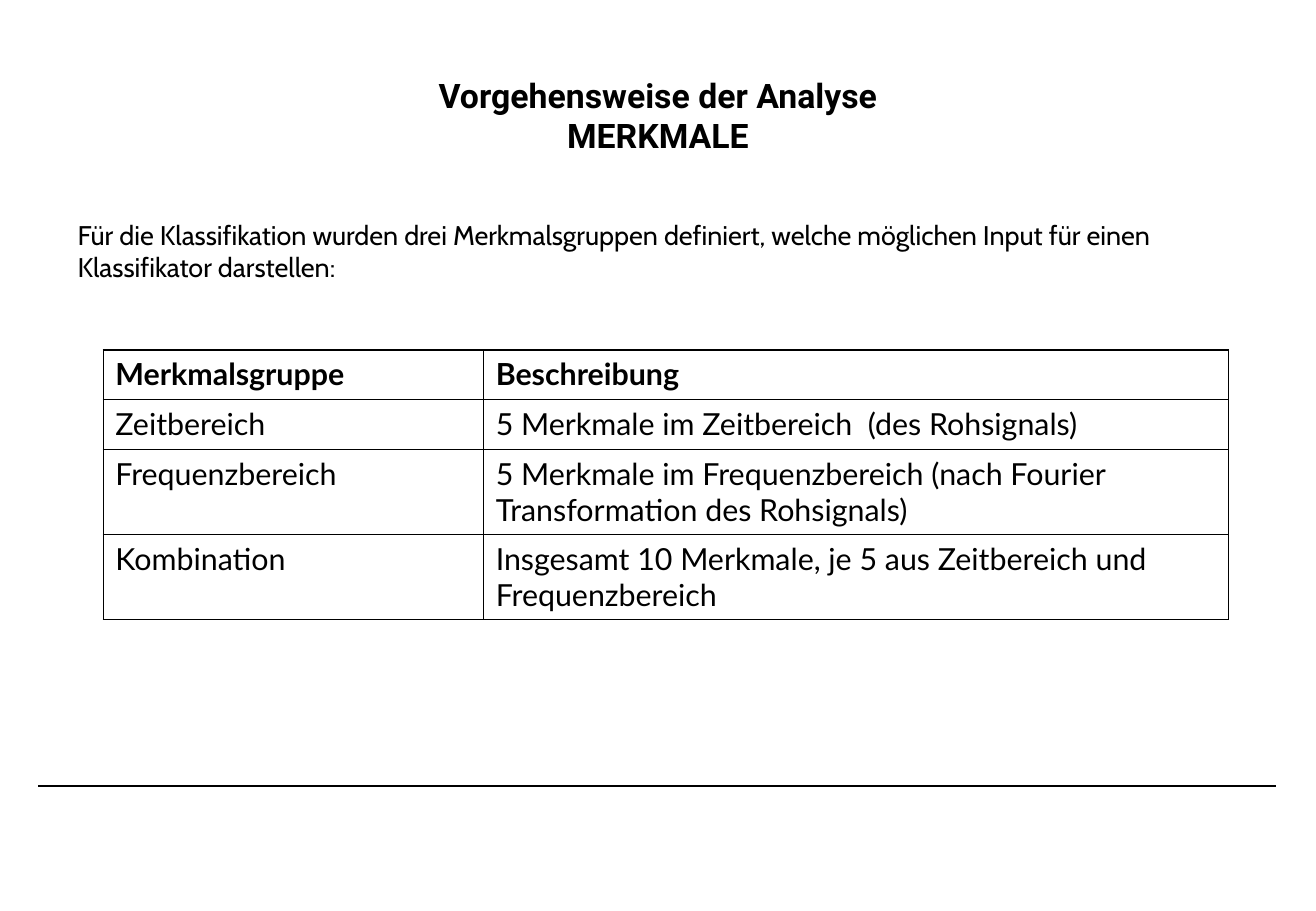
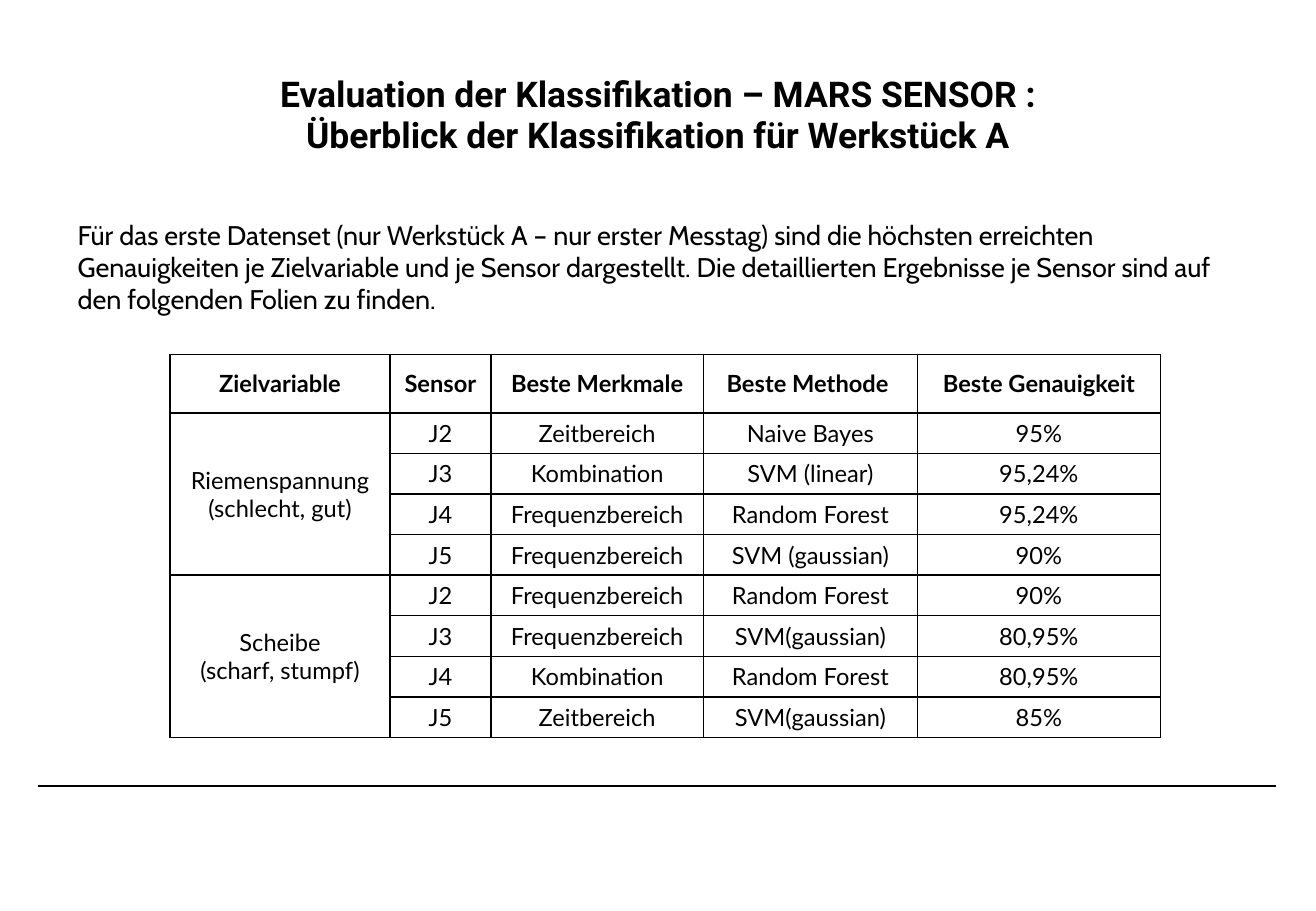
from lxml import etree
from pptx import Presentation
from pptx import util as u
from pptx.dml.color import RGBColor
from pptx.enum import shapes, text
from pptx.oxml import ns, parse_xml

BLACK = RGBColor(0x00, 0x00, 0x00)
WHITE = RGBColor(0xFF, 0xFF, 0xFF)
TITLE_BOX = (0.54, 0.56, 9.75, 0.99)
BODY_BOX = (0.54, 1.75, 9.75, 4.68)
RULE = (10.5, 6.47, 0.31, 6.47)
CENTER = text.PP_ALIGN.CENTER
LEFT = text.PP_ALIGN.LEFT
TITLE = {"name": "Roboto", "bold": True}
BODY = {"name": "Cabin", "size": u.Pt(16), "bold": False}

FEATURE_GROUPS = [
    ("Merkmalsgruppe", "Beschreibung"),
    ("Zeitbereich", "5 Merkmale im Zeitbereich  (des Rohsignals)"),
    ("Frequenzbereich", "5 Merkmale im Frequenzbereich (nach Fourier Transformation des Rohsignals)"),
    ("Kombination", "Insgesamt 10 Merkmale, je 5 aus Zeitbereich und Frequenzbereich"),
]
RESULTS = [
    ("Zielvariable", "Sensor", "Beste Merkmale", "Beste Methode ", "Beste Genauigkeit"),
    ("Riemenspannung\n(schlecht, gut)", "J2", "Zeitbereich", "Naive Bayes", "95%"),
    ("", "J3", "Kombination", "SVM (linear)", "95,24%"),
    ("", "J4", "Frequenzbereich", "Random Forest", "95,24%"),
    ("", "J5", "Frequenzbereich", "SVM (gaussian)", "90%"),
    ("Scheibe\n(scharf, stumpf)", "J2", "Frequenzbereich", "Random Forest", "90%"),
    ("", "J3", "Frequenzbereich", "SVM(gaussian)", "80,95%"),
    ("", "J4", "Kombination", "Random Forest", "80,95%"),
    ("", "J5", "Zeitbereich", "SVM(gaussian)", "85%"),
]


def style_paragraph(paragraph, align, font):
    """Align a paragraph and apply the font values to its runs."""
    paragraph.alignment = align
    for run in paragraph.runs:
        run.font.color.rgb = BLACK
        for key, value in font.items():
            setattr(run.font, key, value)


def add_text(slide, box, wording, align, font, spacing):
    """Place one wrapped paragraph with exact line spacing in a box."""
    frame = slide.shapes.add_textbox(*map(u.Inches, box)).text_frame
    frame.word_wrap = True
    frame.vertical_anchor = text.MSO_ANCHOR.TOP
    paragraph = frame.paragraphs[0]
    paragraph.text = wording
    paragraph.line_spacing = u.Pt(spacing)
    style_paragraph(paragraph, align, font)


def add_rule(slide):
    """Draw the line above the footer."""
    rule = slide.shapes.add_connector(shapes.MSO_CONNECTOR.STRAIGHT, *map(u.Inches, RULE))
    rule.line.color.rgb = BLACK
    rule.line.width = u.Pt(0.85)
    etree.SubElement(rule._element.spPr, ns.qn("a:effectLst"))


def add_base(prs, title, title_size, intro):
    """Add a slide with the shared rule, title and introduction."""
    slide = prs.slides.add_slide(prs.slide_layouts[6])
    add_rule(slide)
    add_text(slide, TITLE_BOX, title, CENTER, {**TITLE, "size": u.Pt(title_size)}, 24.2)
    add_text(slide, BODY_BOX, intro, LEFT, BODY, 19.1)
    return slide


def add_borders(cell):
    """Put a black line of one point on each side of a cell."""
    properties = cell._tc.get_or_add_tcPr()
    for position, side in enumerate(("lnL", "lnR", "lnT", "lnB")):
        properties.insert(position, parse_xml(
            f'<a:{side} {ns.nsdecls("a")} w="{u.Pt(1)}"><a:solidFill>'
            f'<a:srgbClr val="{BLACK}"/></a:solidFill></a:{side}>'))


def add_grid(slide, origin, widths, heights, rows, size, align, anchor):
    """Place a ruled table with a bold header row."""
    box = (*origin, sum(widths), sum(heights))
    table = slide.shapes.add_table(len(rows), len(widths), *map(u.Inches, box)).table
    table.first_row = table.horz_banding = False
    for column, width in zip(table.columns, widths):
        column.width = u.Inches(width)
    for row_index, (row, height) in enumerate(zip(rows, heights)):
        table.rows[row_index].height = u.Inches(height)
        font = {"name": "Lato", "size": u.Pt(size), "bold": row_index == 0}
        for column_index, wording in enumerate(row):
            cell = table.cell(row_index, column_index)
            cell.text = wording
            cell.vertical_anchor = anchor
            cell.fill.solid()
            cell.fill.fore_color.rgb = WHITE
            add_borders(cell)
            for paragraph in cell.text_frame.paragraphs:
                style_paragraph(paragraph, align, font)
    return table


def features_slide(prs):
    """Build the slide on the feature groups."""
    slide = add_base(
        prs, "Vorgehensweise der Analyse\vMERKMALE", 20,
        "Für die Klassifikation wurden drei Merkmalsgruppen definiert, "
        "welche möglichen Input für einen Klassifikator darstellen:")
    add_grid(slide, (0.85, 2.88), (3.13, 6.13), (0.41, 0.41, 0.7, 0.7),
             FEATURE_GROUPS, 18, LEFT, text.MSO_ANCHOR.TOP)


def results_slide(prs):
    """Build the slide on the best accuracies per target and sensor."""
    slide = add_base(
        prs, "Evaluation der Klassifikation – MARS SENSOR :\v"
        "Überblick der Klassifikation für Werkstück A", 21,
        "Für das erste Datenset (nur Werkstück A – nur erster Messtag) sind die höchsten "
        "erreichten Genauigkeiten je Zielvariable und je Sensor dargestellt. Die "
        "detaillierten Ergebnisse je Sensor sind auf den folgenden Folien zu finden.")
    table = add_grid(slide, (1.4, 2.92), (1.81, 0.83, 1.75, 1.76, 2), (0.48, *[0.33] * 8),
                     RESULTS, 14, CENTER, text.MSO_ANCHOR.MIDDLE)
    for first in (1, 5):
        table.cell(first, 0).merge(table.cell(first + 3, 0))


def main():
    """Build and save the presentation."""
    prs = Presentation()
    prs.slide_width, prs.slide_height = u.Inches(10.83), u.Inches(7.5)
    features_slide(prs)
    results_slide(prs)
    prs.save("out.pptx")


if __name__ == "__main__":
    main()
